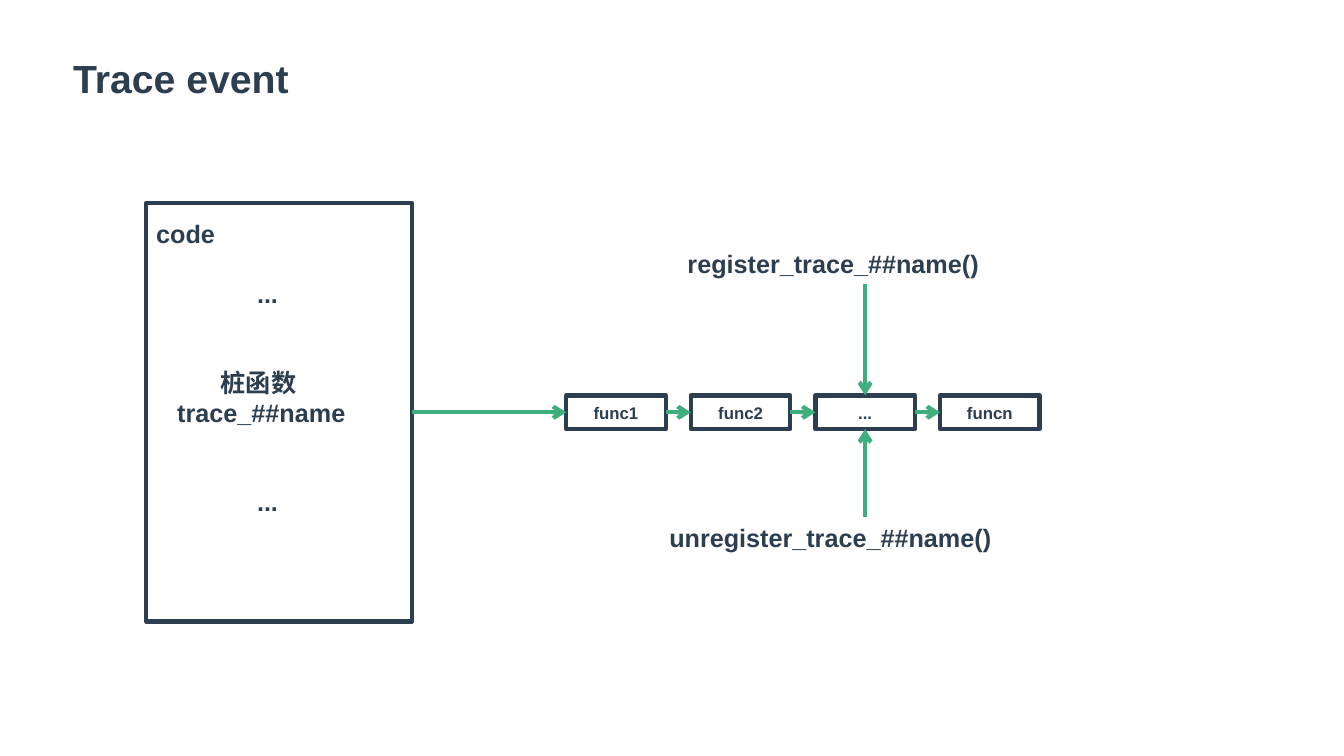
from dataclasses import dataclass
from itertools import pairwise

from lxml import etree
from pptx import Presentation
from pptx.dml.color import RGBColor
from pptx.enum import shapes, text
from pptx.oxml import ns
from pptx.util import Pt


@dataclass(frozen=True)
class Theme:
    ink: RGBColor = RGBColor(0x2C, 0x3E, 0x50)
    green: RGBColor = RGBColor(0x3E, 0xAF, 0x7C)
    font: str = "Arial"
    title: int = 28
    body: int = 18
    small: int = 12
    line: int = 3


THEME = Theme()
TOP, LEFT, BOTTOM, RIGHT = 0, 1, 2, 3


def format_text(p, size):
    values = {"name": THEME.font, "size": Pt(size), "bold": True}
    for name, value in values.items():
        setattr(p.font, name, value)
    p.font.color.rgb = THEME.ink


def format_frame(tf, anchor, wrap=True):
    values = {"vertical_anchor": anchor, "word_wrap": wrap,
              "auto_size": text.MSO_AUTO_SIZE.NONE}
    for name, value in values.items():
        setattr(tf, name, value)


def add_title(s, box, words):
    sp = s.shapes.title
    for name, value in zip(("left", "top", "width", "height"), box):
        setattr(sp, name, Pt(value))
    tf = sp.text_frame
    format_frame(tf, text.MSO_ANCHOR.TOP)
    tf.text = words
    p = tf.paragraphs[0]
    p.alignment = text.PP_ALIGN.LEFT
    format_text(p, THEME.title)


def add_outline(s, box):
    sp = s.shapes.add_shape(shapes.MSO_SHAPE.RECTANGLE, *map(Pt, box))
    sp.shadow.inherit = False
    sp.fill.background()
    sp.line.color.rgb = THEME.ink
    sp.line.width = Pt(THEME.line)
    return sp


def add_code(s, box):
    """Draw the code panel; each line has its indent and the gap above it."""
    lines = [("code", 0, 0), ("...", 72, 21), ("桩函数", 46, 42),
             ("trace_##name", 15, 0), ("...", 72, 42)]
    sp = add_outline(s, box)
    tf = sp.text_frame
    format_frame(tf, text.MSO_ANCHOR.TOP)
    tf.margin_top = Pt(11)
    for i, (words, indent, gap) in enumerate(lines):
        p = tf.add_paragraph() if i else tf.paragraphs[0]
        p.text = words
        p.alignment = text.PP_ALIGN.LEFT
        if gap:
            p.space_before = Pt(gap)
        p._p.get_or_add_pPr().set("marL", str(Pt(indent)))
        format_text(p, THEME.body)
    return sp


def add_chain(s, box, names, pitch):
    """Draw equal boxes in a row, the first one filling box, joined by arrows."""
    left, top, width, height = box
    links = []
    for i, name in enumerate(names):
        sp = add_outline(s, (left + i * pitch, top, width, height))
        format_frame(sp.text_frame, text.MSO_ANCHOR.MIDDLE)
        sp.text_frame.text = name
        p = sp.text_frame.paragraphs[0]
        p.alignment = text.PP_ALIGN.CENTER
        format_text(p, THEME.small)
        links.append(sp)
    for a, b in pairwise(links):
        add_arrow(s, a, RIGHT, b, LEFT)
    return links


def add_label(s, box, words):
    sp = s.shapes.add_textbox(*map(Pt, box))
    format_frame(sp.text_frame, text.MSO_ANCHOR.TOP)
    sp.text_frame.text = words
    format_text(sp.text_frame.paragraphs[0], THEME.body)
    return sp


def add_arrow(s, start, start_side, end, end_side):
    c = s.shapes.add_connector(shapes.MSO_CONNECTOR.STRAIGHT, 0, 0, 0, 0)
    c.begin_connect(start, start_side)
    c.end_connect(end, end_side)
    c.line.color.rgb = THEME.green
    c.line.width = Pt(THEME.line)
    etree.SubElement(c.line._get_or_add_ln(), ns.qn("a:tailEnd"), type="arrow")
    etree.SubElement(c._element.spPr, ns.qn("a:effectLst"))


def add_trace_event(prs):
    s = prs.slides.add_slide(prs.slide_layouts[5])
    add_title(s, (45, 35.5, 208, 41), "Trace event")
    code = add_code(s, (104.5, 145, 190, 299))
    links = add_chain(s, (404.5, 282.5, 71, 24),
                      ("func1", "func2", "...", "funcn"), 89)
    add_arrow(s, code, RIGHT, links[0], LEFT)

    register = add_label(s, (484, 174, 268, 29), "register_trace_##name()")
    unregister = add_label(s, (471, 369.5, 294, 29), "unregister_trace_##name()")
    add_arrow(s, register, BOTTOM, links[2], TOP)
    add_arrow(s, unregister, TOP, links[2], BOTTOM)


def main():
    prs = Presentation()
    prs.slide_width, prs.slide_height = Pt(960), Pt(540)
    add_trace_event(prs)
    prs.save("out.pptx")


if __name__ == "__main__":
    main()
